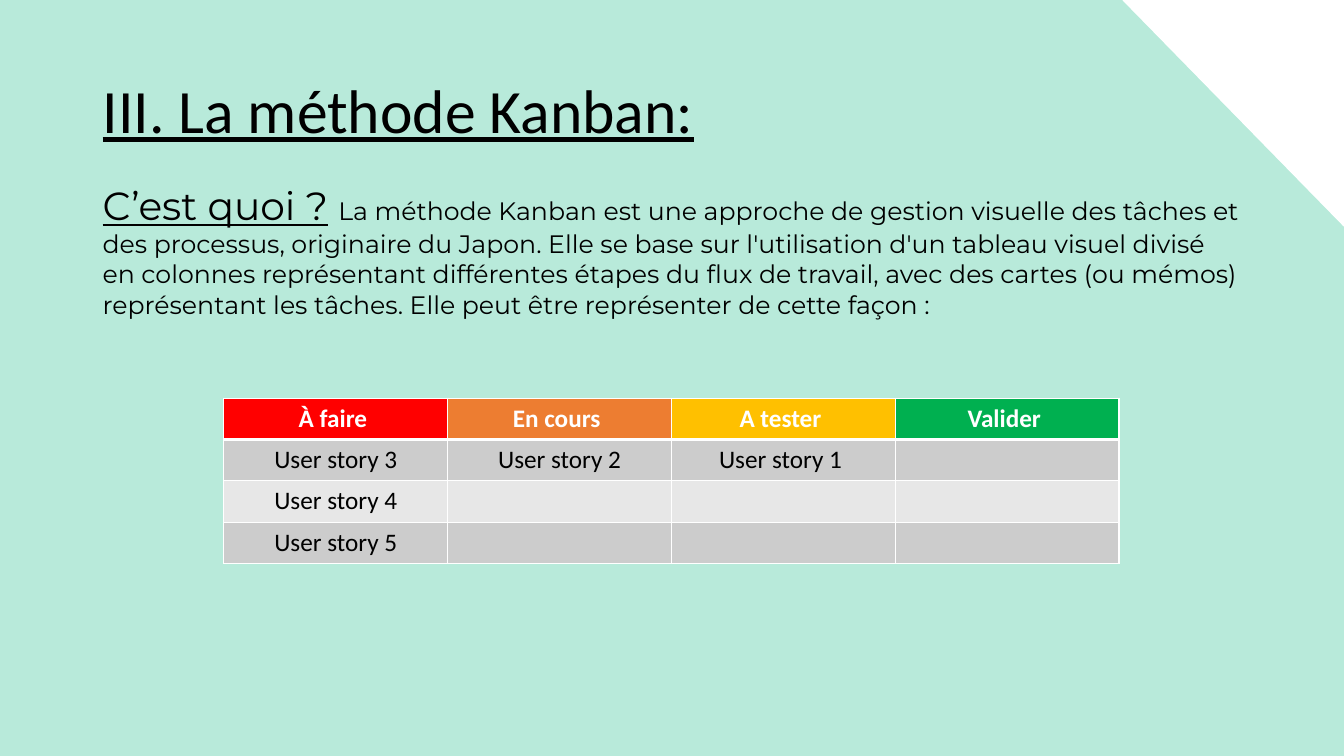
from lxml.etree import SubElement
from pptx import Presentation
from pptx.dml.color import RGBColor
from pptx.enum.shapes import MSO_SHAPE
from pptx.enum.text import MSO_ANCHOR, PP_ALIGN
from pptx.oxml.ns import qn
from pptx.util import Inches, Pt

TITLE = "III. La méthode Kanban:"
QUESTION = "C’est quoi ?"
ANSWER = (
    "La méthode Kanban est une approche de gestion visuelle des tâches et des processus, "
    "originaire du Japon. Elle se base sur l'utilisation d'un tableau visuel divisé en colonnes "
    "représentant différentes étapes du flux de travail, avec des cartes (ou mémos) "
    "représentant les tâches. Elle peut être représenter de cette façon :"
)
BOARD = [
    ["À faire ", "En cours ", "A tester ", "Valider "],
    ["User story 3", "User story 2", "User story 1 ", ""],
    ["User story 4", "", "", ""],
    ["User story 5", "", "", ""],
]
COLORS = {
    "mint": "B8EADA", "white": "FFFFFF", "black": "000000",
    "red": "FF0000", "orange": "ED7D31", "yellow": "FFC000", "green": "00B050",
    "dark": "CCCCCC", "light": "E7E7E7",
}
HEADERS = ["red", "orange", "yellow", "green"]
BANDS = ["light", "dark"]
COL_W, ROW_H = 2.22, 0.41


def rgb(name):
    return RGBColor.from_string(COLORS[name])


def set_fill(target, name):
    target.fill.solid()
    target.fill.fore_color.rgb = rgb(name)


def set_font(font, face, size=None, color="black"):
    font.name = face
    font.color.rgb = rgb(color)
    if size:
        font.size = Pt(size)


def add_text(s, top, height, anchor):
    box = s.shapes.add_textbox(Inches(0.92), Inches(top), Inches(11.5), Inches(height))
    tf = box.text_frame
    tf.word_wrap = True
    tf.vertical_anchor = anchor
    return tf.paragraphs[0]


def add_run(p, text, size, underline):
    r = p.add_run()
    r.text = text
    r.font.size = Pt(size)
    r.font.underline = underline


def set_borders(cell, bottom):
    tcPr = cell._tc.get_or_add_tcPr()
    for side, width in (("L", 1), ("R", 1), ("T", 1), ("B", bottom)):
        ln = SubElement(tcPr, qn(f"a:ln{side}"), w=str(Pt(width)))
        SubElement(SubElement(ln, qn("a:solidFill")), qn("a:srgbClr"), val=COLORS["white"])


def add_board(s):
    rows, cols = len(BOARD), len(BOARD[0])
    table = s.shapes.add_table(rows, cols, Inches(2.22), Inches(3.95),
                               Inches(COL_W * cols), Inches(ROW_H * rows)).table
    for col in table.columns:
        col.width = Inches(COL_W)
    for i, row in enumerate(BOARD):
        table.rows[i].height = Inches(ROW_H)
        for j, text in enumerate(row):
            header = i == 0
            cell = table.cell(i, j)
            set_borders(cell, 3 if header else 1)
            set_fill(cell, HEADERS[j] if header else BANDS[i % 2])
            cell.text = text
            p = cell.text_frame.paragraphs[0]
            p.alignment = PP_ALIGN.CENTER
            set_font(p.font, "Calibri", 18, "white" if header else "black")
            p.font.bold = header


def main():
    prs = Presentation()
    prs.slide_width, prs.slide_height = Inches(13.33), Inches(7.5)
    s = prs.slides.add_slide(prs.slide_layouts[6])
    set_fill(s.background, "mint")

    p = add_text(s, 0.4, 1.45, MSO_ANCHOR.MIDDLE)
    p.text = TITLE
    p.line_spacing = 0.9
    set_font(p.font, "Calibri", 44)
    p.font.underline = True

    corner = s.shapes.add_shape(MSO_SHAPE.RIGHT_TRIANGLE, Inches(11.14), 0,
                                Inches(2.19), Inches(2.24))
    corner.rotation = 180
    corner.shadow.inherit = False
    set_fill(corner, "white")
    corner.line.color.rgb = rgb("white")
    corner.line.width = Pt(1)

    p = add_text(s, 1.75, 4.39, MSO_ANCHOR.TOP)
    p.space_before = Pt(10)
    set_font(p.font, "Montserrat")
    add_run(p, QUESTION, 28, True)
    add_run(p, " ", 28, False)
    add_run(p, ANSWER, 18, False)

    add_board(s)
    prs.save("out.pptx")


if __name__ == "__main__":
    main()
